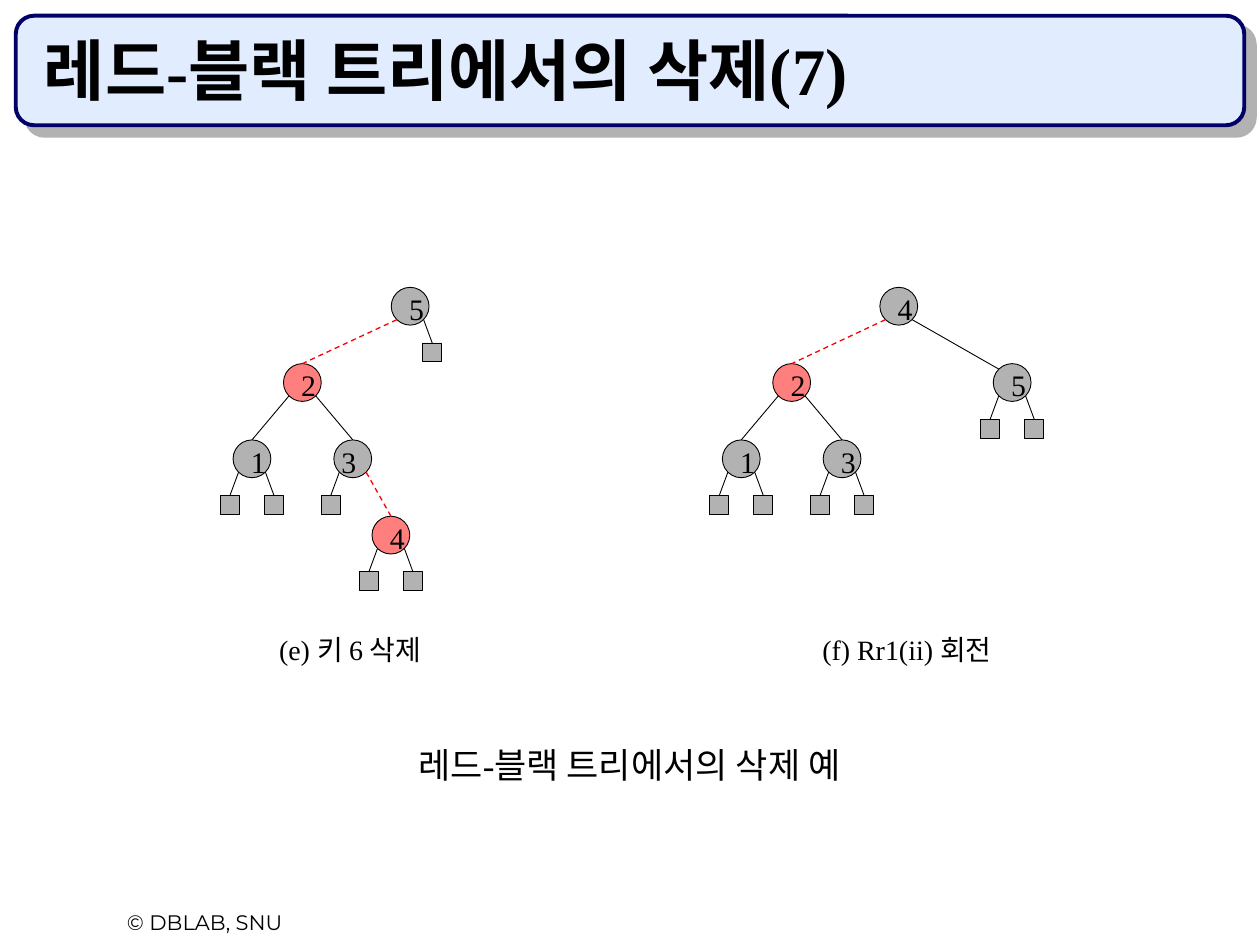
from lxml.etree import SubElement
from pptx import Presentation
from pptx.dml.color import RGBColor
from pptx.enum.dml import MSO_LINE_DASH_STYLE as Dash
from pptx.enum.shapes import MSO_CONNECTOR as Connector, MSO_SHAPE as Shape
from pptx.enum.text import MSO_ANCHOR as Anchor, PP_ALIGN as Align
from pptx.oxml.ns import qn
from pptx.util import Pt

COLORS = {
    "black": "000000", "gray": "B2B2B2", "red": "FF0000",
    "navy": "000066", "banner": "E1ECFF",
}
SERIF, SANS = "Times New Roman", "Montserrat"
NODE, LEAF = 21.6, 10.8          # diameter of a node, side of a leaf
RIM = 7.7                        # where edges leave a node, both ways from its centre
LEAF_X, LEAF_Y = 12.6, 21        # from node centre to the middle of a leaf's top
ROOT_Y, LEVEL = 175, 43.6

# key: (centre x, level, colour, sides with a leaf)
DELETED_TREE = {
    "5": (234.4, 0, "gray", (1,)),
    "2": (172.8, 1, "red", ()),
    "1": (144, 2, "gray", (-1, 1)),
    "3": (201.6, 2, "gray", (-1,)),
    "4": (223.4, 3, "red", (-1, 1)),
}
ROTATED_TREE = {
    "4": (513.6, 0, "gray", ()),
    "2": (452.4, 1, "red", ()),
    "5": (578.4, 1, "gray", (-1, 1)),
    "1": (423.6, 2, "gray", (-1, 1)),
    "3": (481.2, 2, "gray", (-1, 1)),
}
DELETED_EDGES = ["52", "21", "23", "34"]
ROTATED_EDGES = ["42", "45", "21", "23"]


def rgb(name):
    return RGBColor.from_string(COLORS[name])


def add_box(slide, kind, left, top, width, height, fill, line="black", weight=0.5):
    shape = slide.shapes.add_shape(kind, Pt(left), Pt(top), Pt(width), Pt(height))
    shape.shadow.inherit = False
    shape.fill.solid()
    shape.fill.fore_color.rgb = rgb(fill)
    shape.line.color.rgb = rgb(line)
    shape.line.width = Pt(weight)
    return shape


def add_text(slide, text, left, top, width, height, size, font=SERIF, bold=False,
             align=Align.CENTER, anchor=Anchor.TOP, wrap=False, insets=(7.2, 3.6)):
    box = slide.shapes.add_textbox(Pt(left), Pt(top), Pt(width), Pt(height))
    frame = box.text_frame
    frame.word_wrap = wrap
    frame.vertical_anchor = anchor
    frame.margin_left = frame.margin_right = Pt(insets[0])
    frame.margin_top = frame.margin_bottom = Pt(insets[1])
    paragraph = frame.paragraphs[0]
    paragraph.alignment = align
    run = paragraph.add_run()
    run.text = text
    run.font.name = font
    run.font.size = Pt(size)
    run.font.bold = bold
    run.font.color.rgb = rgb("black")


def add_edge(slide, start, end, red=False):
    line = slide.shapes.add_connector(Connector.STRAIGHT, *map(Pt, (*start, *end)))
    SubElement(line._element.spPr, qn("a:effectLst"))
    line.line.color.rgb = rgb("red" if red else "black")
    line.line.width = Pt(0.75 if red else 0.5)
    if red:
        line.line.dash_style = Dash.DASH


def add_banner(slide):
    banner = add_box(slide, Shape.ROUNDED_RECTANGLE, 9, 9, 702, 62.6,
                     "banner", "navy", 2.25)
    banner.adjustments[0] = 0.167
    effects = banner._element.spPr.find(qn("a:effectLst"))
    shadow = SubElement(effects, qn("a:outerShdw"), dist=str(Pt(8.5)),
                        dir=str(45 * 60000), algn="ctr", rotWithShape="0")
    SubElement(shadow, qn("a:srgbClr"), val=COLORS["gray"])


def add_node(slide, key, x, y, color, leaf_sides, key_shift):
    node = add_box(slide, Shape.OVAL, x - NODE / 2, y - NODE / 2, NODE, NODE, color)
    if color == "red":
        fill = node._element.spPr.find(qn("a:solidFill"))
        SubElement(fill[0], qn("a:alpha"), val="50000")
    add_text(slide, key, x + key_shift, y - 8.8, 8.6, 20.2, 17, insets=(0, 0))
    for side in leaf_sides:
        leaf_x = x + side * LEAF_X
        add_box(slide, Shape.RECTANGLE, leaf_x - LEAF / 2, y + LEAF_Y, LEAF, LEAF, "gray")
        add_edge(slide, (x + side * RIM, y + RIM), (leaf_x, y + LEAF_Y))


def add_tree(slide, nodes, edges, key_shifts):
    """Edges are parent-child key pairs; an edge to a red node is red."""
    for key, (x, level, color, leaf_sides) in nodes.items():
        add_node(slide, key, x, ROOT_Y + level * LEVEL, color, leaf_sides,
                 key_shifts.get(key, -0.7))
    for parent, child in edges:
        x, level = nodes[parent][:2]
        child_x, child_level, color = nodes[child][:3]
        side = 1 if child_x > x else -1
        end = (child_x, ROOT_Y + child_level * LEVEL - NODE / 2)
        if side * (child_x - x) > 1.45 * LEVEL:  # a wide edge meets the child's shoulder
            end = (child_x - side * RIM, ROOT_Y + child_level * LEVEL - RIM)
        add_edge(slide, (x + side * RIM, ROOT_Y + level * LEVEL + RIM), end, color == "red")


def main():
    presentation = Presentation()
    presentation.slide_width, presentation.slide_height = Pt(720), Pt(540)
    slide = presentation.slides.add_slide(presentation.slide_layouts[6])

    add_banner(slide)
    add_text(slide, "© DBLAB, SNU", 30, 516, 174, 21.6, 12, font=SANS, wrap=True)
    add_text(slide, "레드-블랙 트리에서의 삭제(7)", 18, 18, 678, 48, 38, bold=True,
             align=Align.LEFT, anchor=Anchor.BOTTOM, wrap=True)

    add_tree(slide, DELETED_TREE, DELETED_EDGES, {"3": -6.5})
    add_tree(slide, ROTATED_TREE, ROTATED_EDGES, {})

    add_text(slide, "(e) 키 6 삭제", 146.6, 358, 107, 26.6, 16)
    add_text(slide, "(f) Rr1(ii) 회전", 461, 358, 114.5, 26.6, 16)
    add_text(slide, "레드-블랙 트리에서의 삭제 예", 225.4, 421.2, 268.6, 31.7, 20)
    presentation.save("out.pptx")


if __name__ == "__main__":
    main()
